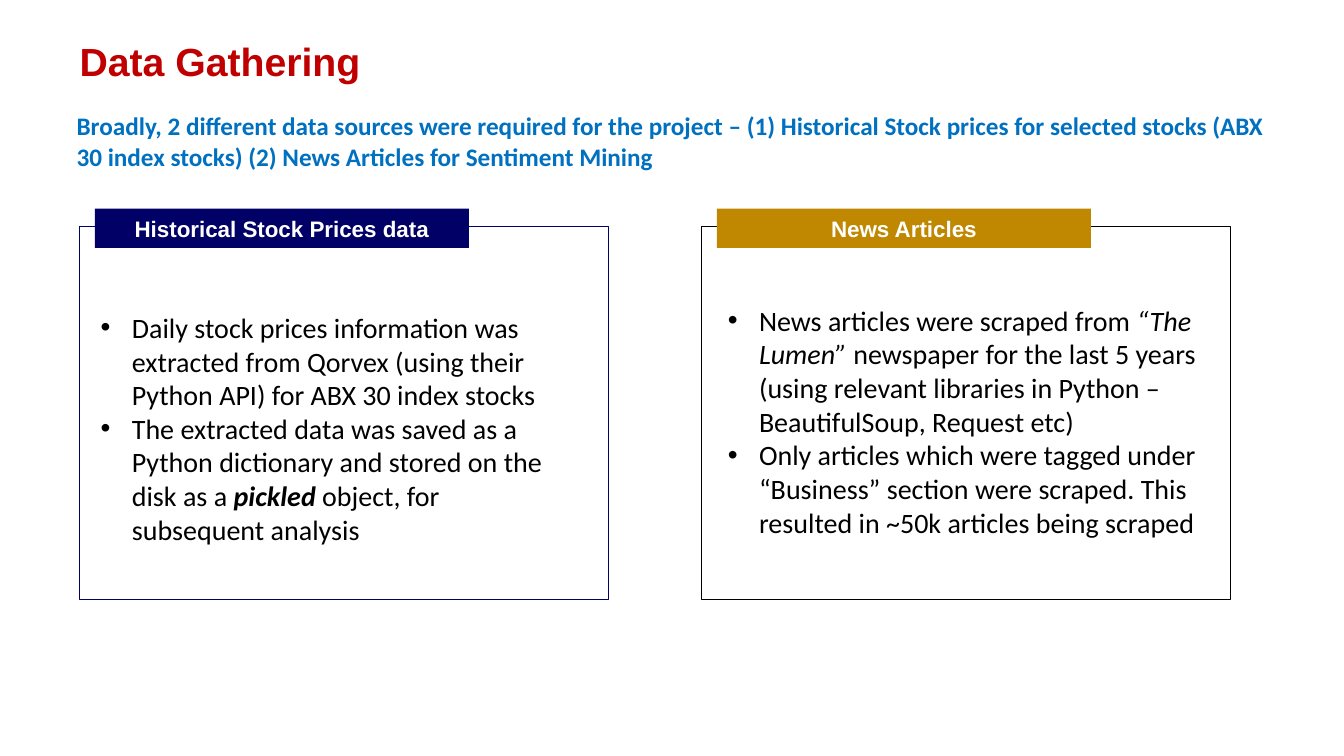
"""Builds the Data Gathering slide with two captioned panels."""
from lxml import etree
from pptx import Presentation
from pptx.dml.color import RGBColor
from pptx.enum.shapes import MSO_SHAPE
from pptx.enum.text import MSO_ANCHOR, PP_ALIGN
from pptx.oxml.ns import qn
from pptx.util import Inches, Pt

RECTANGLE = MSO_SHAPE.RECTANGLE
TOP, MIDDLE, BOTTOM = MSO_ANCHOR.TOP, MSO_ANCHOR.MIDDLE, MSO_ANCHOR.BOTTOM
CENTER = PP_ALIGN.CENTER

TITLE = {"name": "Arial", "size": Pt(28), "bold": True}
INTRO = {"name": "Calibri", "size": Pt(18), "bold": True}
CAPTION = {"name": "Arial", "size": Pt(16), "bold": True}
BODY = {"name": "Calibri", "size": Pt(20)}
ITALIC = {"italic": True}
BOLD_ITALIC = {"bold": True, "italic": True}

PANELS = [
    {"caption": "Historical Stock Prices data", "left": 0.79, "line": "000066",
     "fill": "000066", "text_left": 0.9, "text_top": 3.03, "bullets": [
         [("Daily stock prices information was extracted from Qorvex (using their "
           "Python API) for ABX 30 index stocks", {})],
         [("The extracted data was saved as a Python dictionary and stored on the disk as a ", {}),
          ("pickled", BOLD_ITALIC),
          (" object, for subsequent analysis", {})]]},
    {"caption": "News Articles", "left": 6.96, "line": "000000",
     "fill": "BF8800", "text_left": 7.12, "text_top": 2.96, "bullets": [
         [("News articles were scraped from ", {}),
          ("“The Lumen”", ITALIC),
          (" newspaper for the last 5 years (using relevant libraries in Python – "
           "BeautifulSoup, Request etc)", {})],
         [("Only articles which were tagged under “Business” section were scraped. "
           "This resulted in ~50k articles being scraped", {})]]},
]


def color(hex_string):
    return RGBColor.from_string(hex_string)


def write(box, paragraphs, font, ink, anchor=TOP, insets=(0, 0, 0, 0), bullet=None):
    frame = box.text_frame
    frame.word_wrap = True
    frame.vertical_anchor = anchor
    sides = ("margin_left", "margin_top", "margin_right", "margin_bottom")
    for side, inset in zip(sides, insets):
        setattr(frame, side, Inches(inset))
    for index, spans in enumerate(paragraphs):
        para = frame.add_paragraph() if index else frame.paragraphs[0]
        if bullet:
            properties = para._p.get_or_add_pPr()
            properties.set("marL", str(Inches(0.31)))
            properties.set("indent", str(-Inches(0.31)))
            etree.SubElement(properties, qn("a:buFont")).set("typeface", "Arial")
            etree.SubElement(properties, qn("a:buChar")).set("char", bullet)
        for text, extra in spans:
            span = para.add_run()
            span.text = text
            for key, value in {**font, **extra}.items():
                setattr(span.font, key, value)
            span.font.color.rgb = color(ink)
    return frame


deck = Presentation()
deck.slide_width, deck.slide_height = Inches(13.33), Inches(7.5)
page = deck.slides.add_slide(deck.slide_layouts[6])

title = page.shapes.add_textbox(Inches(0.79), Inches(0.08), Inches(11.97), Inches(0.76))
write(title, [[("Data Gathering", {})]], TITLE, "C00000", BOTTOM)

intro = page.shapes.add_textbox(Inches(0.76), Inches(1.05), Inches(11.99), Inches(0.87))
write(intro, [[("Broadly, 2 different data sources were required for the project – "
                "(1) Historical Stock prices for selected stocks (ABX 30 index stocks) "
                "(2) News Articles for Sentiment Mining", {})]],
      INTRO, "0070C0", insets=(0, 0.05, 0, 0))

for panel in PANELS:
    frame_box = page.shapes.add_shape(
        RECTANGLE, Inches(panel["left"]), Inches(2.25), Inches(5.24), Inches(3.7))
    frame_box.shadow.inherit = False
    frame_box.fill.solid()
    frame_box.fill.fore_color.rgb = color("FFFFFF")
    frame_box.line.color.rgb = color(panel["line"])
    frame_box.line.width = Pt(0.5)

    caption = page.shapes.add_shape(
        RECTANGLE, Inches(panel["left"] + 0.15), Inches(2.07), Inches(3.71), Inches(0.39))
    caption.shadow.inherit = False
    caption.fill.solid()
    caption.fill.fore_color.rgb = color(panel["fill"])
    caption.line.fill.background()
    caption_frame = write(caption, [[(panel["caption"], {})]], CAPTION, "FFFFFF",
                          MIDDLE, (0.08, 0.08, 0.08, 0.08))
    caption_frame.paragraphs[0].alignment = CENTER

    body = page.shapes.add_textbox(
        Inches(panel["text_left"]), Inches(panel["text_top"]), Inches(4.9), Inches(2.45))
    write(body, panel["bullets"], BODY, "000000",
          insets=(0.1, 0.05, 0.1, 0.05), bullet="•")

deck.save("out.pptx")
